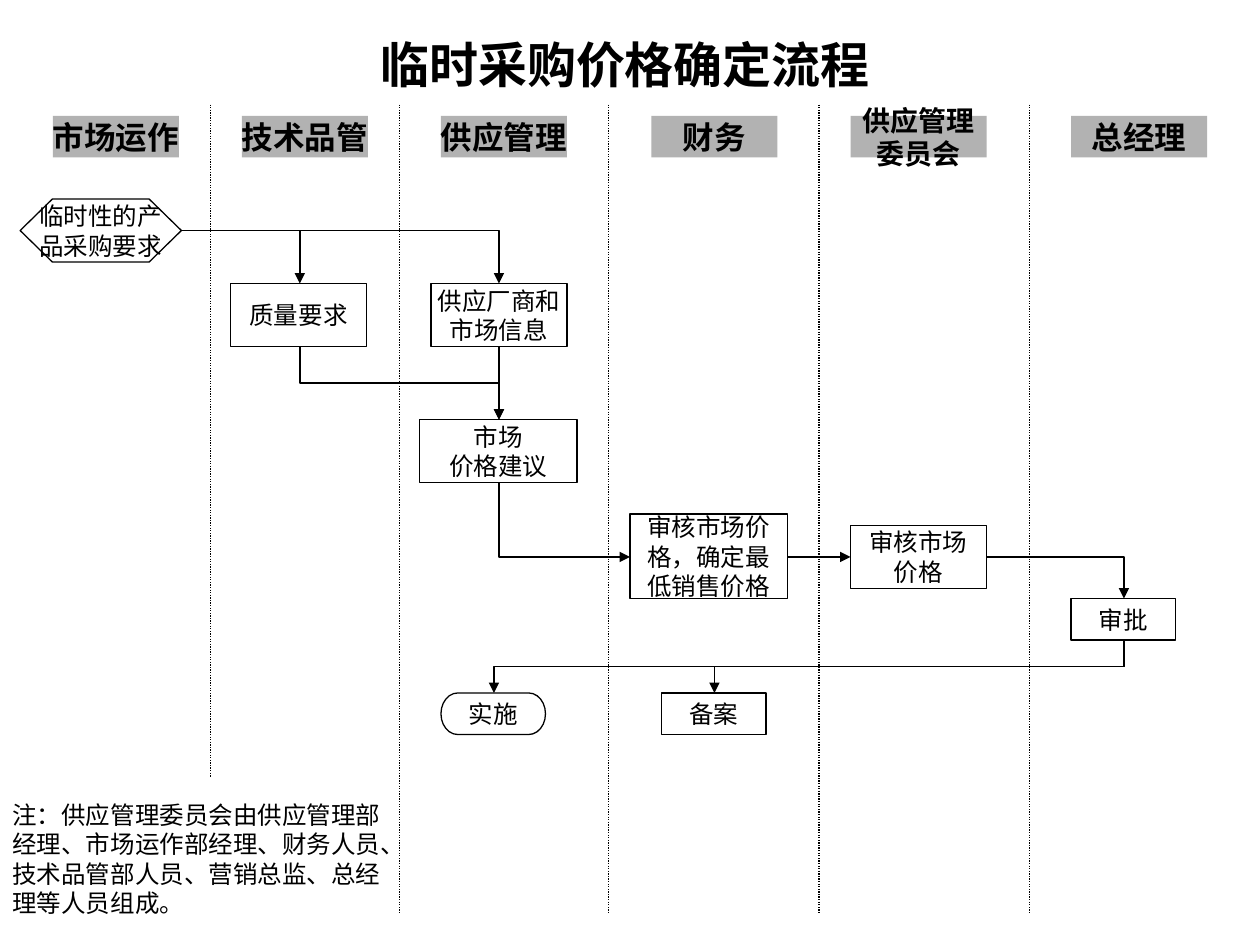
from lxml import etree
from pptx import Presentation
from pptx.dml.color import RGBColor
from pptx.enum.dml import MSO_LINE
from pptx.enum.shapes import MSO_CONNECTOR, MSO_SHAPE
from pptx.enum.text import MSO_ANCHOR, PP_ALIGN
from pptx.oxml.ns import qn
from pptx.util import Inches, Pt

RECT = MSO_SHAPE.RECTANGLE
HEXAGON = MSO_SHAPE.FLOWCHART_PREPARATION
TERMINATOR = MSO_SHAPE.FLOWCHART_TERMINATOR
STRAIGHT, ELBOW = MSO_CONNECTOR.STRAIGHT, MSO_CONNECTOR.ELBOW
DOTTED = MSO_LINE.ROUND_DOT
CENTER, LEFT = PP_ALIGN.CENTER, PP_ALIGN.LEFT
MIDDLE, TOP = MSO_ANCHOR.MIDDLE, MSO_ANCHOR.TOP
color = RGBColor.from_string


def write(sp, text, size, bold=False, wrap=False, align=CENTER, anchor=MIDDLE):
    """Fill a shape with one paragraph per line of text."""
    tf = sp.text_frame
    tf.word_wrap = wrap
    tf.vertical_anchor = anchor
    for i, line in enumerate(text.split("\n")):
        p = tf.add_paragraph() if i else tf.paragraphs[0]
        p.alignment = align
        r = p.add_run()
        r.text = line
        r.font.name = "Times New Roman"
        r.font.size = Pt(size)
        r.font.bold = bold
        r.font.color.rgb = color("000000")


def connect(kind, x1, y1, x2, y2, arrow=True):
    """Draw a thin black line, with an arrowhead at its end if wanted."""
    c = s.shapes.add_connector(kind, Inches(x1), Inches(y1), Inches(x2), Inches(y2))
    c.line.color.rgb = color("000000")
    c.line.width = Pt(0.75)
    if arrow:
        ln = c.line._get_or_add_ln()
        etree.SubElement(ln, qn("a:tailEnd"), type="triangle", w="med", len="med")
    etree.SubElement(c._element.spPr, qn("a:effectLst"))
    return c


prs = Presentation()
prs.slide_width, prs.slide_height = Inches(10), Inches(7.5)
s = prs.slides.add_slide(prs.slide_layouts[6])

# Title
sp = s.shapes.add_textbox(Inches(2), Inches(0.17), Inches(5.92), Inches(0.67))
write(sp, "临时采购价格确定流程", 28, bold=True, wrap=True)

# Lane headings: left, width, text, size
headings = [
    (0.42, 1, "市场运作", 18),
    (1.92, 1, "技术品管", 18),
    (3.5, 1, "供应管理", 18),
    (5.17, 1, "财务", 18),
    (6.75, 1.08, "供应管理\n委员会", 16),
    (8.5, 1.08, "总经理", 18),
]
for left, width, text, size in headings:
    sp = s.shapes.add_shape(RECT, Inches(left), Inches(0.92), Inches(width), Inches(0.33))
    sp.shadow.inherit = False
    sp.fill.solid()
    sp.fill.fore_color.rgb = color("B2B2B2")
    sp.line.fill.background()
    write(sp, text, size, bold=True)

# Lane dividers; the first stops above the note
for x, bottom in [(1.67, 6.17), (3.17, 7.25), (4.83, 7.25), (6.5, 7.25), (8.17, 7.25)]:
    connect(STRAIGHT, x, 0.83, x, bottom, arrow=False).line.dash_style = DOTTED

# Straight arrows
connect(STRAIGHT, 3.96, 2.75, 3.96, 3.33)
connect(STRAIGHT, 6.25, 4.42, 6.75, 4.42)

# Arrows that leave sideways and turn down once
for x1, y1, x2, y2 in [(1.44, 1.83, 3.96, 2.25), (1.44, 1.83, 2.38, 2.25),
                       (7.83, 4.42, 8.92, 4.75)]:
    c = connect(ELBOW, x1, y1, x2, y2)
    c._element.spPr.find(qn("a:prstGeom")).set("prst", "bentConnector2")

# Arrows that leave downwards: a turned frame around the same centre
for x1, y1, x2, y2, preset in [
    (2.38, 2.75, 3.96, 3.33, "bentConnector3"),
    (3.96, 3.83, 5, 4.42, "bentConnector2"),
    (8.92, 5.08, 5.67, 5.5, "bentConnector3"),
    (8.92, 5.08, 3.92, 5.5, "bentConnector3"),
]:
    cx, cy = (x1 + x2) / 2, (y1 + y2) / 2
    half_w, half_h = (y2 - y1) / 2, abs(x2 - x1) / 2
    c = connect(ELBOW, cx - half_w, cy - half_h, cx + half_w, cy + half_h)
    c._element.spPr.find(qn("a:prstGeom")).set("prst", preset)
    xfrm = c._element.spPr.find(qn("a:xfrm"))
    if x2 > x1:
        xfrm.set("rot", str(270 * 60000))
        xfrm.set("flipH", "1")
    else:
        xfrm.set("rot", str(90 * 60000))

# Process steps: preset, left, top, width, height, text, wrap
steps = [
    (HEXAGON, 0.16, 1.58, 1.28, 0.5, "临时性的产\n品采购要求", False),
    (RECT, 1.83, 2.25, 1.08, 0.5, "质量要求", False),
    (RECT, 3.42, 2.25, 1.08, 0.5, "供应厂商和\n市场信息", False),
    (RECT, 3.33, 3.33, 1.25, 0.5, "市场\n价格建议", False),
    (RECT, 5, 4.08, 1.25, 0.67, "审核市场价格，确定最低销售价格", True),
    (RECT, 6.75, 4.17, 1.08, 0.5, "审核市场\n价格", False),
    (RECT, 8.5, 4.75, 0.83, 0.33, "审批", False),
    (RECT, 5.25, 5.5, 0.83, 0.33, "备案", False),
    (TERMINATOR, 3.5, 5.5, 0.83, 0.33, "实施", False),
]
for preset, left, top, width, height, text, wrap in steps:
    sp = s.shapes.add_shape(preset, Inches(left), Inches(top), Inches(width), Inches(height))
    sp.shadow.inherit = False
    sp.fill.solid()
    sp.fill.fore_color.rgb = color("FFFFFF")
    sp.line.color.rgb = color("000000")
    sp.line.width = Pt(0.75)
    write(sp, text, 14, wrap=wrap)

# Note
sp = s.shapes.add_textbox(Inches(0), Inches(6.3), Inches(3.17), Inches(1.04))
write(sp, "注：供应管理委员会由供应管理部经理、市场运作部经理、财务人员、"
      "技术品管部人员、营销总监、总经理等人员组成。", 14, wrap=True, align=LEFT, anchor=TOP)

prs.save("out.pptx")
